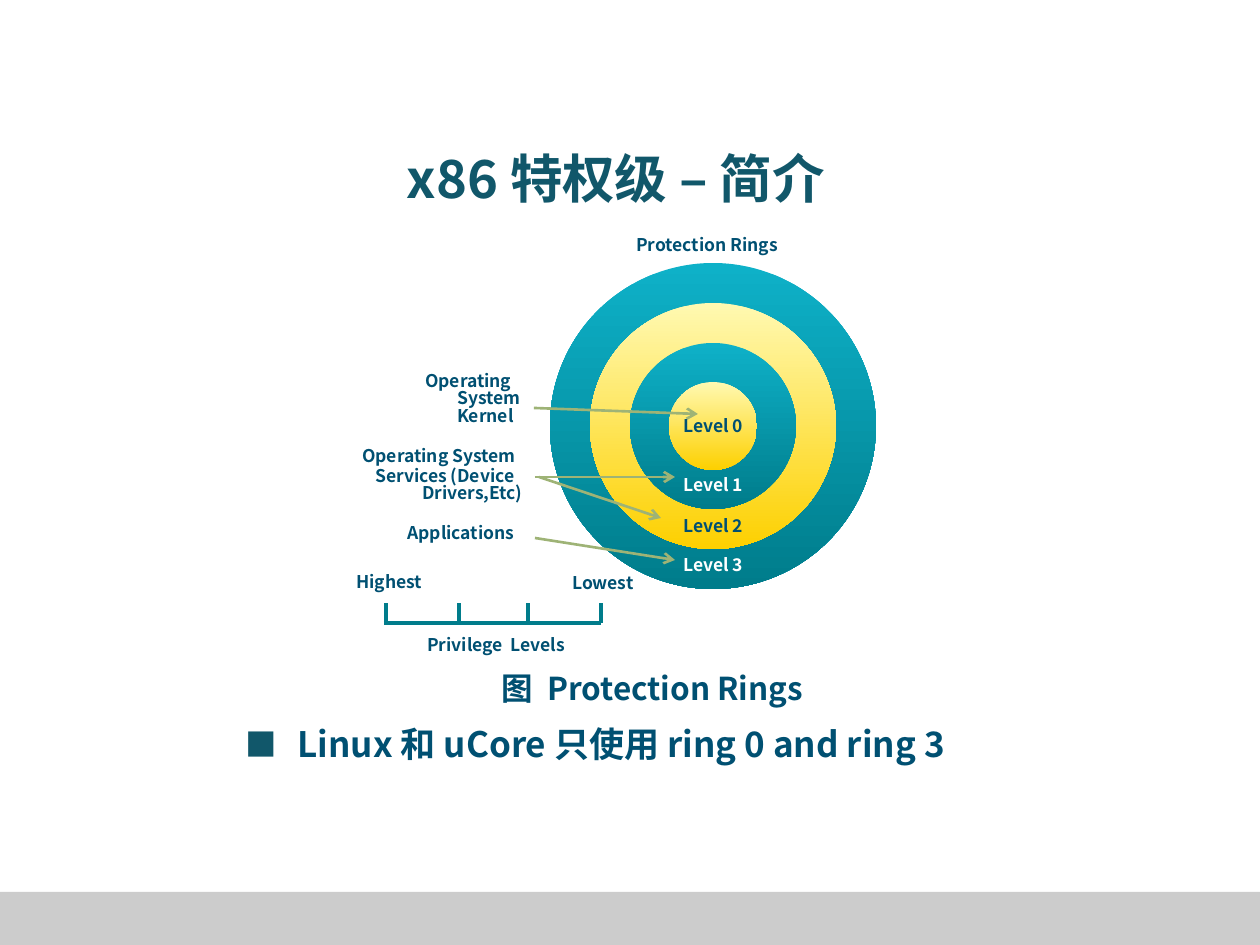
from typing import NamedTuple

import pptx
import pptx.dml.color
import pptx.enum.shapes
import pptx.enum.text
import pptx.oxml
import pptx.oxml.ns
import pptx.util

PX_PER_INCH = 126
FONT = "Noto Sans CJK SC"
COLORS = {
    "title": "11576A",
    "text": "005072",
    "light": "FFFFFF",
    "teal": "007C8B",
    "teal_top": "0EB1C8",
    "yellow": "FDD000",
    "yellow_top": "FFF9B1",
    "arrow": "9EB376",
    "footer": "CCCCCC",
}


class Label(NamedTuple):
    text: str
    left: int
    top: int
    width: int
    height: int
    size: int = 10
    color: str = "text"
    font: str = FONT
    spacing: float = 0.83
    margin: int = 47
    indent: int = -47


class Ring(NamedTuple):
    diameter: int
    top_color: str
    bottom_color: str


class Line(NamedTuple):
    x1: int
    y1: int
    x2: int
    y2: int


CENTER_X, CENTER_Y = 713, 426
RINGS = [
    Ring(326, "teal_top", "teal"),
    Ring(246, "yellow_top", "yellow"),
    Ring(166, "teal_top", "teal"),
    Ring(88, "yellow_top", "yellow"),
]

TITLE = Label("x86 特权级 – 简介", 394, 147, 522, 77, 30, "title",
              spacing=0.9, margin=0, indent=0)
LABELS = [
    Label("Protection Rings", 624, 231, 192, 39),
    Label("Operating System Kernel", 398, 367, 136, 79, indent=-32),
    Label("Operating System", 350, 442, 202, 43),
    Label("Services (Device Drivers,Etc)", 363, 462, 180, 34),
    Label("Applications", 395, 519, 144, 38),
    Label("Highest", 344, 568, 112, 42),
    Label("Lowest", 560, 569, 112, 42),
    Label("Privilege  Levels", 415, 631, 192, 37),
    Label("图  Protection Rings", 489, 669, 387, 38, 18),
    Label("Linux 和 uCore 只使用 ring 0 and ring 3", 285, 721, 945, 54, 20, spacing=0.9),
    Label("■", 233, 723, 57, 50, 18, "title", "Noto Sans CJK JP", 0.9, 0, 0),
]
LEVELS = [(412, "text"), (471, "light"), (512, "text"), (551, "light")]

SCALE_Y = 623
TICK_XS = [386, 459, 528, 601]
TICK_HEIGHT = 20
ARROWS = [
    Line(534, 408, 698, 414),
    Line(535, 477, 675, 477),
    Line(539, 477, 661, 518),
    Line(535, 538, 675, 560),
]


def px(length: float) -> int:
    return round(length * 914400 / PX_PER_INCH)


def rgb(name: str) -> pptx.dml.color.RGBColor:
    return pptx.dml.color.RGBColor.from_string(COLORS[name])


def write_label(shape, label: Label) -> None:
    frame = shape.text_frame
    frame.word_wrap = True
    frame.auto_size = pptx.enum.text.MSO_AUTO_SIZE.NONE
    frame.vertical_anchor = pptx.enum.text.MSO_ANCHOR.TOP
    frame.text = label.text
    paragraph = frame.paragraphs[0]
    paragraph.alignment = pptx.enum.text.PP_ALIGN.LEFT
    paragraph.line_spacing = label.spacing
    paragraph.space_before = pptx.util.Pt(0)
    properties = paragraph._p.get_or_add_pPr()
    properties.set("marL", str(px(label.margin)))
    properties.set("indent", str(px(label.indent)))
    run = paragraph.runs[0]
    run.font.name = label.font
    run.font.size = pptx.util.Pt(label.size)
    run.font.bold = True
    run.font.color.rgb = rgb(label.color)
    east_asian = pptx.oxml.parse_xml(
        f'<a:ea {pptx.oxml.ns.nsdecls("a")} typeface="{label.font}"/>')
    run.font._element.find(pptx.oxml.ns.qn("a:latin")).addnext(east_asian)


def add_label(slide, label: Label) -> None:
    box = slide.shapes.add_textbox(
        px(label.left), px(label.top), px(label.width), px(label.height))
    write_label(box, label)


def add_title(slide, label: Label) -> None:
    title = slide.shapes.title
    title.left, title.top = px(label.left), px(label.top)
    title.width, title.height = px(label.width), px(label.height)
    write_label(title, label)


def add_ring(slide, ring: Ring) -> None:
    radius = ring.diameter / 2
    disc = slide.shapes.add_shape(
        pptx.enum.shapes.MSO_SHAPE.OVAL,
        px(CENTER_X - radius), px(CENTER_Y - radius),
        px(ring.diameter), px(ring.diameter))
    disc.shadow.inherit = False
    disc.line.fill.background()
    disc.fill.gradient()
    disc.fill.gradient_angle = 270
    for stop, color in zip(disc.fill.gradient_stops, (ring.top_color, ring.bottom_color)):
        stop.color.rgb = rgb(color)


def add_line(slide, line: Line, color: str, width: float, arrow: bool = False) -> None:
    connector = slide.shapes.add_connector(
        pptx.enum.shapes.MSO_CONNECTOR.STRAIGHT, *map(px, line))
    connector.line.color.rgb = rgb(color)
    connector.line.width = pptx.util.Pt(width)
    namespace = pptx.oxml.ns.nsdecls("a")
    if arrow:
        connector.line._get_or_add_ln().append(
            pptx.oxml.parse_xml(f'<a:tailEnd {namespace} type="arrow"/>'))
    connector._element.spPr.append(pptx.oxml.parse_xml(f"<a:effectLst {namespace}/>"))


def add_footer(slide) -> None:
    bar = slide.shapes.add_shape(
        pptx.enum.shapes.MSO_SHAPE.RECTANGLE, 0, px(892), px(1260), px(53))
    bar.shadow.inherit = False
    bar.fill.solid()
    bar.fill.fore_color.rgb = rgb("footer")
    bar.line.fill.background()


def main() -> None:
    deck = pptx.Presentation()
    deck.slide_width, deck.slide_height = px(1260), px(945)
    slide = deck.slides.add_slide(deck.slide_layouts[5])
    add_footer(slide)
    add_title(slide, TITLE)
    for ring in RINGS:
        add_ring(slide, ring)
    add_line(slide, Line(TICK_XS[0] - 2, SCALE_Y, TICK_XS[-1], SCALE_Y), "teal", 2.25)
    for x in TICK_XS:
        add_line(slide, Line(x, SCALE_Y, x, SCALE_Y - TICK_HEIGHT), "teal", 2.25)
    for arrow in ARROWS:
        add_line(slide, arrow, "arrow", 1.5, arrow=True)
    for label in LABELS:
        add_label(slide, label)
    for level, (top, color) in enumerate(LEVELS):
        add_label(slide, Label(f"Level {level}", 671, top, 94, 35, color=color))
    deck.save("out.pptx")


if __name__ == "__main__":
    main()
